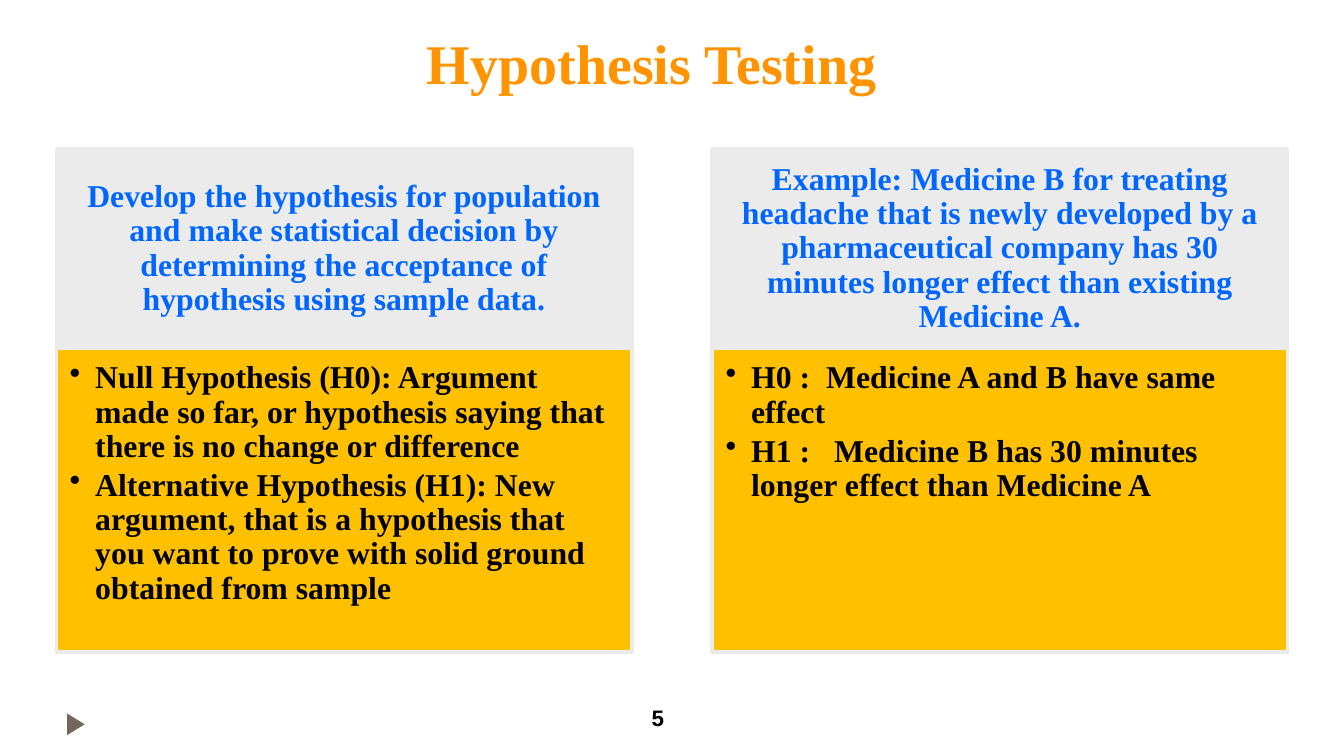
from pptx import Presentation
from pptx.dml.color import RGBColor
from pptx.enum.shapes import MSO_SHAPE as Shape
from pptx.enum.text import MSO_ANCHOR as Anchor, PP_ALIGN as Align
from pptx.oxml.ns import qn
from pptx.util import Pt
from lxml.etree import SubElement

PX = 4572
ORANGE = RGBColor(0xFF, 0x93, 0x00)
BLUE = RGBColor(0x00, 0x66, 0xFF)
AMBER = RGBColor(0xFF, 0xC0, 0x00)
LIGHT_GRAY = RGBColor(0xEB, 0xEB, 0xEB)
TAUPE = RGBColor(0x71, 0x68, 0x5A)
BLACK = RGBColor(0, 0, 0)
SERIF = "Times New Roman"

PANELS = [
    ("Develop the hypothesis for population and make statistical decision by "
     "determining the acceptance of hypothesis using sample data.",
     ["Null Hypothesis (H0): Argument made so far, or hypothesis saying that "
      "there is no change or difference",
      "Alternative Hypothesis (H1): New argument, that is a hypothesis that "
      "you want to prove with solid ground obtained from sample"]),
    ("Example: Medicine B for treating headache that is newly developed by a "
     "pharmaceutical company has 30 minutes longer effect than existing Medicine A.",
     ["H0 :  Medicine A and B have same effect",
      "H1 :   Medicine B has 30 minutes longer effect than Medicine A"]),
]


def scaled(*lengths):
    return [length * PX for length in lengths]


def set_frame(shape, insets, anchor=Anchor.TOP):
    frame = shape.text_frame
    frame.word_wrap = True
    frame.vertical_anchor = anchor
    (frame.margin_left, frame.margin_top,
     frame.margin_right, frame.margin_bottom) = scaled(*insets)
    return frame


def style_para(para, text, size, color, align, face=SERIF):
    para.text = text
    para.alignment = align
    font = para.font
    font.name, font.size, font.bold = face, Pt(size), True
    font.color.rgb = color


def add_bullet(para, indent):
    props = para._p.get_or_add_pPr()
    props.set("marL", str(indent * PX))
    props.set("indent", str(-indent * PX))
    bullet = SubElement(props, qn("a:buChar"))
    bullet.set("char", "•")
    props.insert_element_before(bullet, "a:tabLst", "a:defRPr", "a:extLst")


def add_label(page, box, insets, text, size, color, align, face=SERIF):
    label = page.shapes.add_textbox(*scaled(*box))
    frame = set_frame(label, insets)
    style_para(frame.paragraphs[0], text, size, color, align, face)


def add_block(page, box, fill):
    block = page.shapes.add_shape(Shape.RECTANGLE, *scaled(*box))
    block.shadow.inherit = False
    block.fill.solid()
    block.fill.fore_color.rgb = fill
    block.line.color.rgb = LIGHT_GRAY
    block.line.width = Pt(2)
    return block


def add_panel(page, box, heading, points):
    left, top, width, height = box
    head_height = 296
    head = add_block(page, (left, top, width, head_height), LIGHT_GRAY)
    para = set_frame(head, (26, 16, 26, 16), Anchor.MIDDLE).paragraphs[0]
    style_para(para, heading, 17, BLUE, Align.CENTER)
    para.line_spacing = 0.9

    body = add_block(page, (left, top + head_height, width, height - head_height), AMBER)
    frame = set_frame(body, (20, 20, 26, 30))
    for index, point in enumerate(points):
        para = frame.paragraphs[0] if index == 0 else frame.add_paragraph()
        style_para(para, point, 17, BLACK, Align.LEFT)
        para.line_spacing = 0.9
        para.space_before = Pt(2.5 if index else 0)
        add_bullet(para, 38)


def add_footer(page, box, number):
    left, top, width, height = box
    builder = page.shapes.build_freeform(left, top + 24, scale=PX)
    builder.add_line_segments([(left, top + 56), (left + 26, top + 40)], close=True)
    marker = builder.convert_to_shape()
    marker.shadow.inherit = False
    marker.fill.solid()
    marker.fill.fore_color.rgb = TAUPE
    marker.line.fill.background()
    add_label(page, (left + 850, top, 116, height), (20, 10, 20, 10),
              number, 12, BLACK, Align.LEFT, "Arial")


def main():
    deck = Presentation()
    deck.slide_width, deck.slide_height = scaled(2000, 1125)
    page = deck.slides.add_slide(deck.slide_layouts[6])
    add_footer(page, (100, 1038, 1816, 60), "5")
    add_label(page, (70, -14, 1800, 188), (20, 56, 20, 10),
              "Hypothesis Testing", 30, ORANGE, Align.CENTER)
    width, gap = 856, 120
    for index, (heading, points) in enumerate(PANELS):
        add_panel(page, (84 + index * (width + gap), 222, width, 748), heading, points)
    deck.save("out.pptx")


if __name__ == "__main__":
    main()
